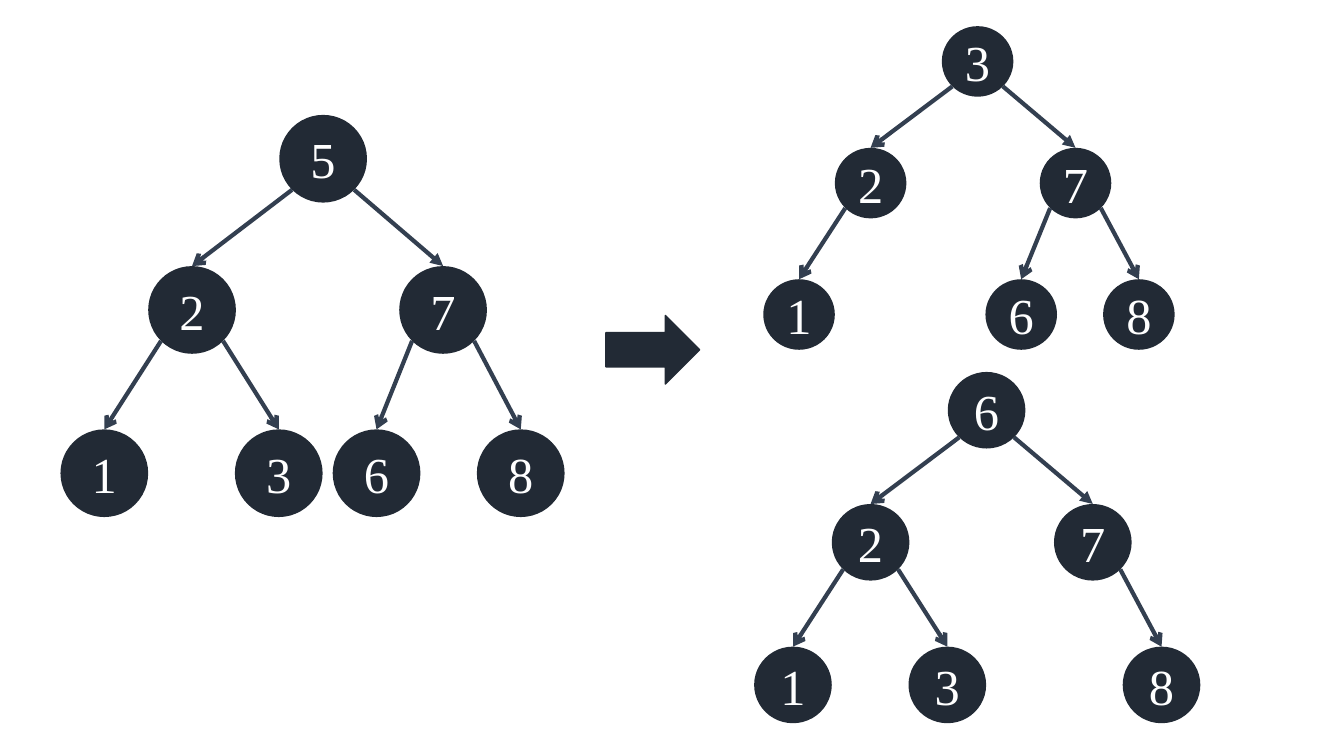
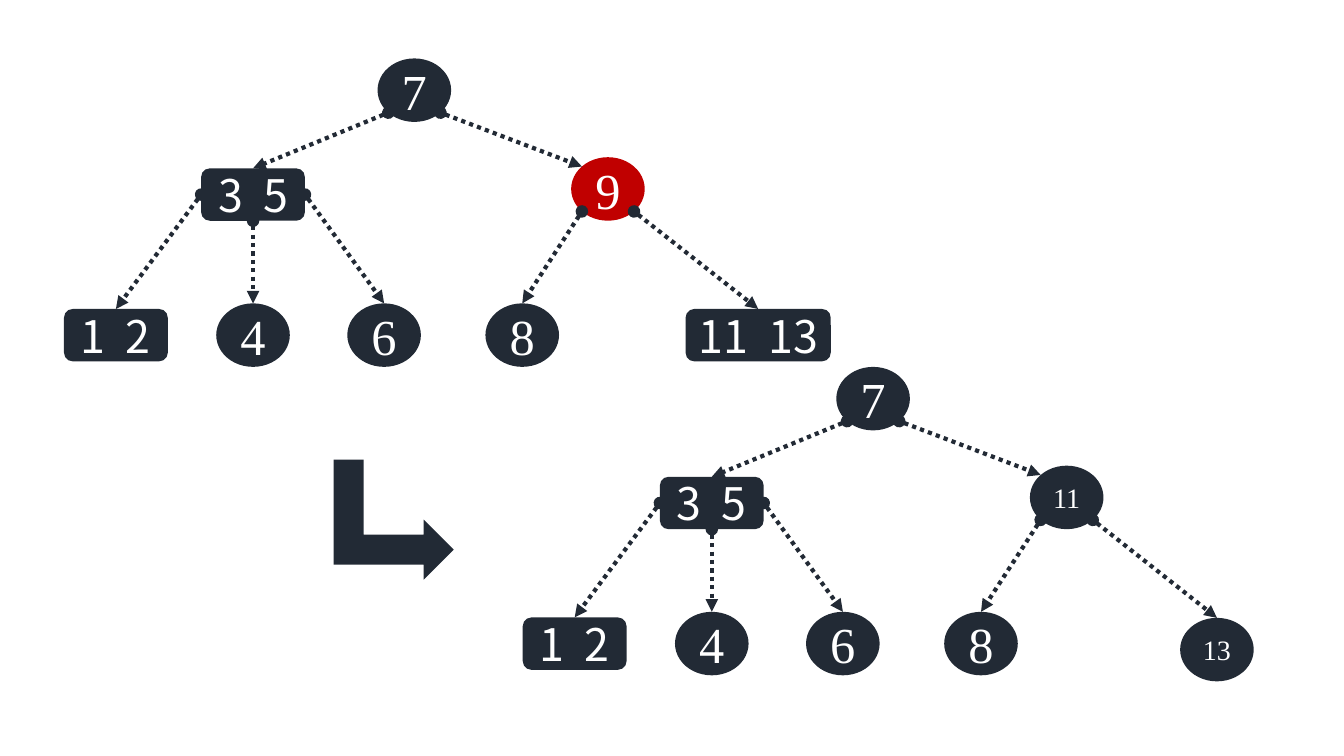
import lxml.etree
import pptx
import pptx.dml.color
import pptx.enum.dml
import pptx.enum.shapes
import pptx.enum.text
import pptx.oxml.ns
import pptx.util

Inches = pptx.util.Inches
Pt = pptx.util.Pt
SHAPE = pptx.enum.shapes.MSO_SHAPE
qn = pptx.oxml.ns.qn

COLORS = {"node": "222A35", "edge": "333F50", "removed": "C00000", "text": "FFFFFF"}
SERIF, SANS = "Times New Roman", "Noto Sans CJK SC"

# Points on a node's outline, as fractions of its width and height
SITES = {
    "top": (0.5, 0), "bottom": (0.5, 1), "left": (0, 0.5), "right": (1, 0.5),
    "upper left": (0.146, 0.146), "lower left": (0.146, 0.854), "lower right": (0.854, 0.854),
}

# Binary tree: left and top of each node, in inches, at full size
BINARY_NODE = 0.87
BINARY_SLOTS = {
    "root": (2.17, 0), "L": (0.87, 1.5), "R": (3.36, 1.5),
    "LL": (0, 3.12), "LR": (1.73, 3.12), "RL": (2.7, 3.12), "RR": (4.13, 3.12),
}
BINARY_EDGES = [
    ("root", "lower left", "L", "arrow"), ("root", "lower right", "R", "triangle"),
    ("L", "lower left", "LL", "arrow"), ("L", "lower right", "LR", "arrow"),
    ("R", "lower left", "RL", "arrow"), ("R", "lower right", "RR", "arrow"),
]

# 2-3 tree: centre x and row of each node
ROUND_W, ROUND_H, PAIR_H = 0.73, 0.63, 0.52
ROWS = {"root": 0.58, "middle": 1.56, "leaf": 3.01}
TWO_THREE_SLOTS = {
    "root": (4.11, "root"), "L": (2.51, "middle"), "R": (6.03, "middle"),
    "LL": (1.15, "leaf"), "LM": (2.51, "leaf"), "LR": (3.81, "leaf"),
    "RL": (5.18, "leaf"), "RR": (7.52, "leaf"),
}
TWO_THREE_EDGES = [
    ("root", "lower left", "L", "top"), ("root", "lower right", "R", "upper left"),
    ("L", "left", "LL", "top"), ("L", "bottom", "LM", "top"), ("L", "right", "LR", "top"),
    ("R", "lower left", "RL", "top"), ("R", "lower right", "RR", "top"),
]


def rgb(name):
    return pptx.dml.color.RGBColor.from_string(COLORS[name])


def add_solid(shapes, kind, left, top, width, height, color="node"):
    sp = shapes.add_shape(kind, Inches(left), Inches(top), Inches(width), Inches(height))
    sp.shadow.inherit = False
    sp.fill.solid()
    sp.fill.fore_color.rgb = rgb(color)
    sp.line.fill.background()
    return sp


def set_label(sp, text, size, font):
    """Centre the label; the space between two keys is widened by letter spacing."""
    tf = sp.text_frame
    tf.word_wrap = False
    tf.vertical_anchor = pptx.enum.text.MSO_ANCHOR.MIDDLE
    p = tf.paragraphs[0]
    p.alignment = pptx.enum.text.PP_ALIGN.CENTER
    for part in filter(None, text.partition(" ")):
        r = p.add_run()
        r.text = part
        r.font.size = Pt(size)
        r.font.name = font
        r.font.color.rgb = rgb("text")
        if part == " ":
            r._r.get_or_add_rPr().set("spc", "720")


def site(sp, name):
    fx, fy = SITES[name]
    return round(sp.left + fx * sp.width), round(sp.top + fy * sp.height)


def add_edge(shapes, start, end, color, tail, head=None, dash=None):
    straight = pptx.enum.shapes.MSO_CONNECTOR.STRAIGHT
    cxn = shapes.add_connector(straight, *start, *end)
    cxn.line.color.rgb = rgb(color)
    cxn.line.width = Pt(3)
    if dash:
        cxn.line.dash_style = dash
    spPr = cxn._element.spPr
    ln = spPr.find(qn("a:ln"))
    for tag, kind in (("a:headEnd", head), ("a:tailEnd", tail)):
        if kind:
            lxml.etree.SubElement(ln, qn(tag), type=kind)
    lxml.etree.SubElement(spPr, qn("a:effectLst"))


def add_binary_tree(slide, left, top, width, height, keys):
    """Draw keys by slot, scaled so that each node is width by height."""
    shapes = slide.shapes.add_group_shape().shapes
    nodes = {}
    for slot, key in keys.items():
        x, y = BINARY_SLOTS[slot]
        sp = add_solid(shapes, SHAPE.OVAL, left + x * width / BINARY_NODE,
                       top + y * height / BINARY_NODE, width, height)
        set_label(sp, key, 36, SERIF)
        nodes[slot] = sp
    for parent, exit_site, child, tail in BINARY_EDGES:
        if child in nodes:
            add_edge(shapes, site(nodes[parent], exit_site), site(nodes[child], "top"),
                     "edge", tail)


def add_two_three_node(shapes, center, top, key, color):
    """A pair of keys gets a rounded box, a single key an oval."""
    if " " in key:
        width = 1.03 if len(key) == 3 else 1.44
        sp = add_solid(shapes, SHAPE.ROUNDED_RECTANGLE, center - width / 2,
                       top + (ROUND_H - PAIR_H) / 2, width, PAIR_H, color)
        set_label(sp, key, 32, SANS)
    else:
        sp = add_solid(shapes, SHAPE.OVAL, center - ROUND_W / 2, top, ROUND_W, ROUND_H, color)
        set_label(sp, key, 36 if len(key) == 1 else 20, SERIF)
    return sp


def add_two_three_tree(slide, dx, dy, keys, removed=None, lowered=None):
    """Draw the tree moved by dx, dy; the lowered slot sits slightly below its row."""
    shapes = slide.shapes.add_group_shape().shapes
    nodes = {}
    for slot, key in keys.items():
        center, row = TWO_THREE_SLOTS[slot]
        top = ROWS[row] + dy + (0.06 if slot == lowered else 0)
        # The middle pair lines up with the bottom of its row
        if row == "middle" and " " in key:
            top += (ROUND_H - PAIR_H) / 2
        color = "removed" if slot == removed else "node"
        nodes[slot] = add_two_three_node(shapes, center + dx, top, key, color)
    for parent, exit_site, child, entry_site in TWO_THREE_EDGES:
        add_edge(shapes, site(nodes[parent], exit_site), site(nodes[child], entry_site),
                 "node", "triangle", "oval", pptx.enum.dml.MSO_LINE.ROUND_DOT)


def add_binary_slide(prs):
    slide = prs.slides.add_slide(prs.slide_layouts[6])
    keys = {"root": "5", "L": "2", "R": "7", "LL": "1", "LR": "3", "RL": "6", "RR": "8"}
    with_predecessor = {**keys, "root": keys["LR"]}
    del with_predecessor["LR"]
    with_successor = {**keys, "root": keys["RL"]}
    del with_successor["RL"]
    add_binary_tree(slide, 0.6, 1.14, BINARY_NODE, BINARY_NODE, keys)
    add_binary_tree(slide, 7.57, 0.26, 0.71, 0.7, with_predecessor)
    add_binary_tree(slide, 7.48, 3.69, 0.77, 0.76, with_successor)
    arrow = add_solid(slide.shapes, SHAPE.RIGHT_ARROW, 6.01, 3.13, 0.93, 0.68)
    arrow.line.color.rgb = rgb("node")
    arrow.line.width = Pt(1)


def add_two_three_slide(prs):
    slide = prs.slides.add_slide(prs.slide_layouts[6])
    keys = {"root": "7", "L": "3 5", "R": "9", "LL": "1 2", "LM": "4", "LR": "6",
            "RL": "8", "RR": "11 13"}
    add_two_three_tree(slide, 0, 0, keys, removed="R")
    add_two_three_tree(slide, 4.55, 3.06, {**keys, "R": "11", "RR": "13"}, lowered="RR")
    arrow = add_solid(slide.shapes, SHAPE.BENT_UP_ARROW, 3.31, 4.56, 1.19, 1.19)
    arrow.rotation = 90


def main():
    prs = pptx.Presentation()
    prs.slide_width, prs.slide_height = Inches(13.33), Inches(7.5)
    add_binary_slide(prs)
    add_two_three_slide(prs)
    prs.save("out.pptx")


if __name__ == "__main__":
    main()
